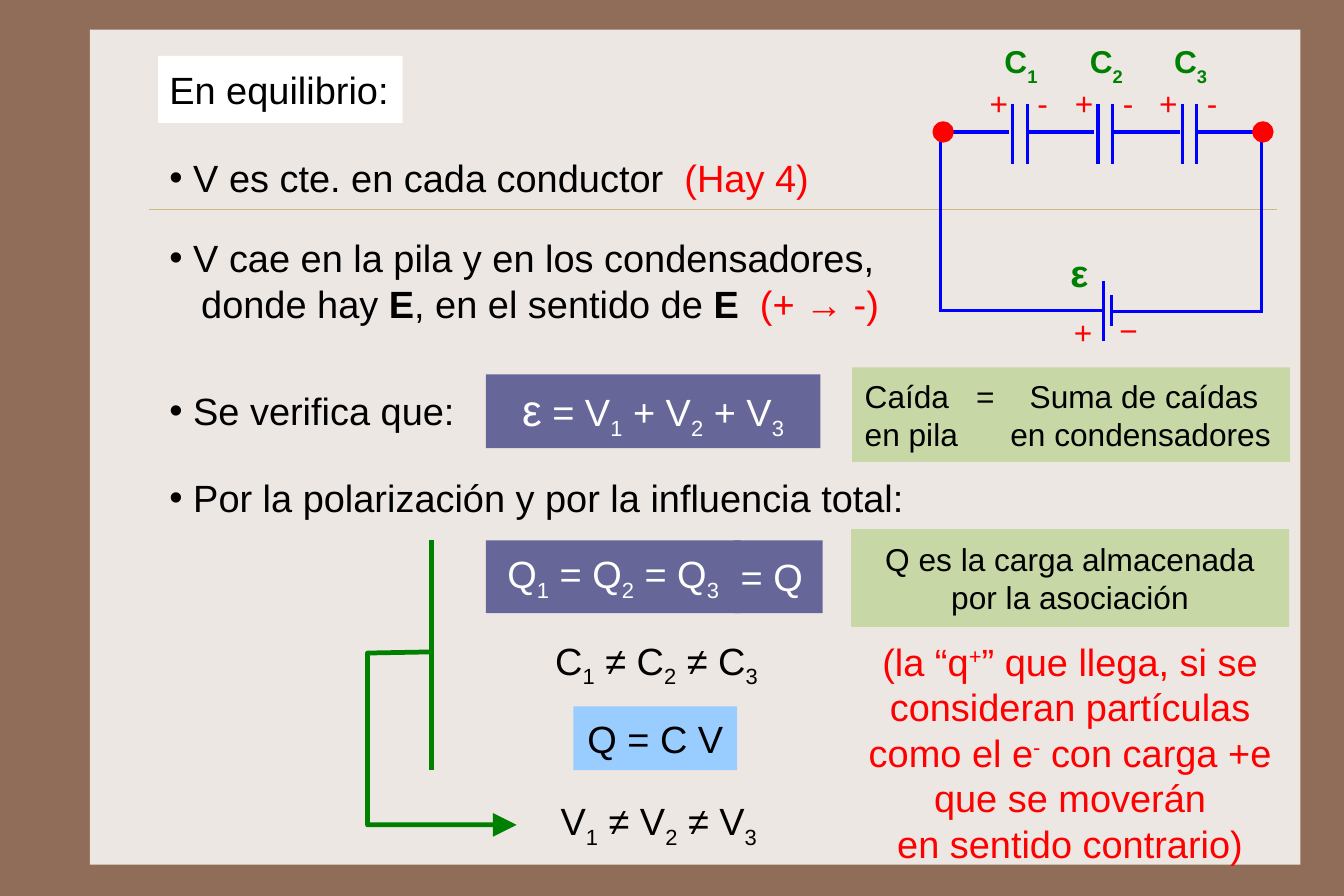
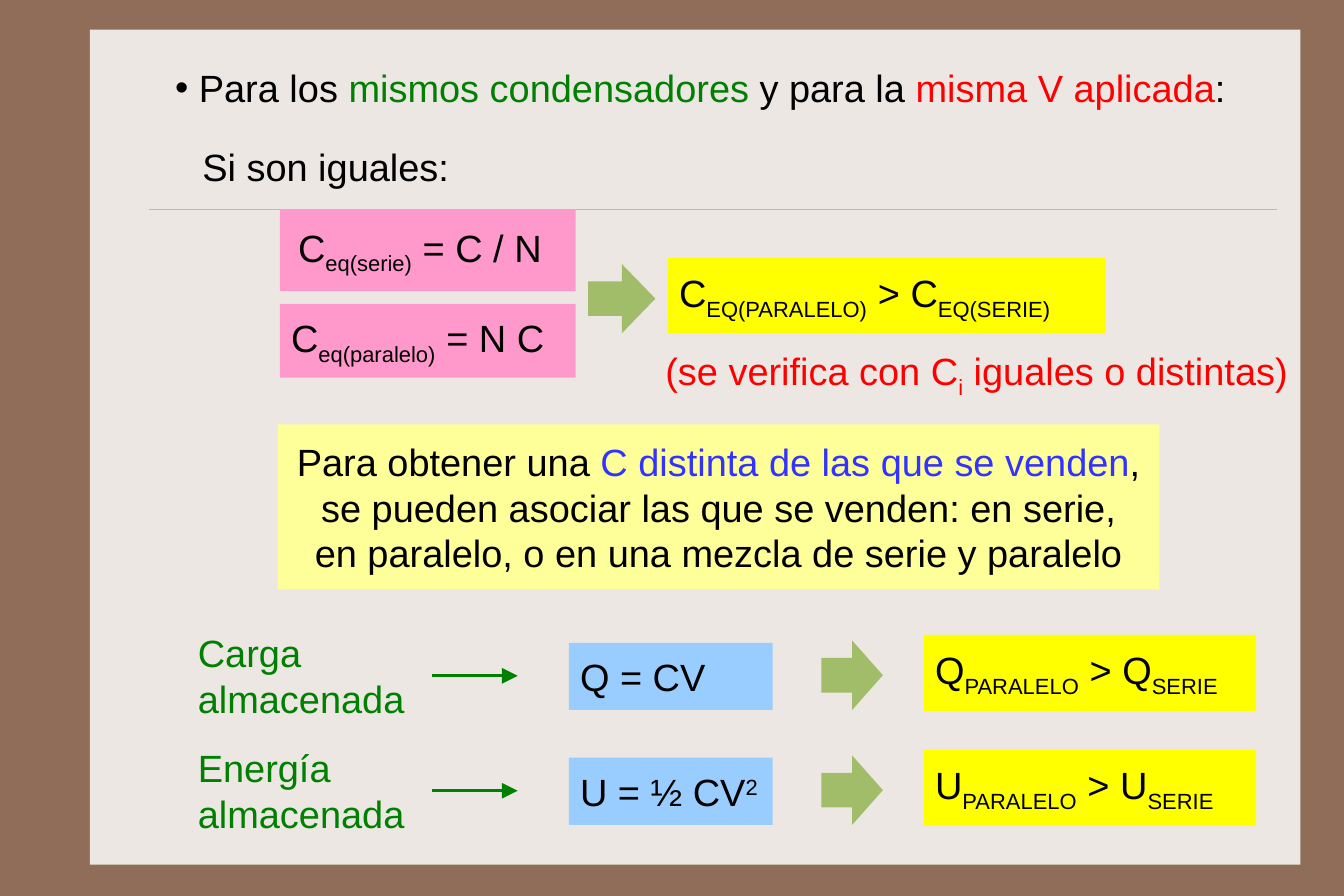
"""Builds two slides on capacitors in series and in parallel."""
from lxml.etree import SubElement
from pptx import Presentation
from pptx.dml.color import RGBColor
from pptx.enum.shapes import MSO_CONNECTOR, MSO_SHAPE
from pptx.enum.text import MSO_ANCHOR, PP_ALIGN
from pptx.oxml.ns import qn
from pptx.util import Inches, Pt

FONT = "Arial"
FRAME, PAPER, RULE = "906D58", "EDE7E3", "CBBD83"
BLACK, WHITE, RED, GREEN, BLUE = "000000", "FFFFFF", "FF0000", "008000", "0000FF"
SLATE, SKY, PINK, YELLOW = "666699", "99CCFF", "FF99CC", "FFFF00"
CREAM, MOSS, LEAF, VIOLET = "FFFF99", "C7D7A5", "A1BD69", "3333FF"
SUB, SUP = -25, 30
BULLET = 0.21
ARROW = {"type": "triangle", "w": "lg", "len": "lg"}

rgb = RGBColor.from_string


def box(s, x, y, w, h, paras=(), fill=None, color=BLACK, size=24, center=False, bold=None,
        left=0.1, bullet=False, tabs=(), shape=MSO_SHAPE.RECTANGLE):
    """Add a text box or filled shape; a part is text or (text, baseline, "b" or colour)."""
    at = [Inches(v) for v in (x, y, w, h)]
    if fill:
        sp = s.shapes.add_shape(shape, *at)
        sp.shadow.inherit = False
        sp.fill.solid()
        sp.fill.fore_color.rgb = rgb(fill)
        sp.line.fill.background()
    else:
        sp = s.shapes.add_textbox(*at)
    tf = sp.text_frame
    tf.word_wrap = True
    tf.vertical_anchor = MSO_ANCHOR.MIDDLE
    tf.margin_left = Inches(left)
    tf.margin_right = Inches(left if center else 0)
    tf.margin_top = tf.margin_bottom = 0
    for i, parts in enumerate(paras):
        p = tf.paragraphs[0] if i == 0 else tf.add_paragraph()
        p.alignment = PP_ALIGN.CENTER if center else PP_ALIGN.LEFT
        pPr = p._p.get_or_add_pPr()
        if bullet and i == 0:
            pPr.set("marL", str(Inches(BULLET)))
            pPr.set("indent", str(-Inches(BULLET)))
            SubElement(pPr, qn("a:buFont"), typeface=FONT)
            SubElement(pPr, qn("a:buChar"), char="•")
        elif bullet:
            pPr.set("marL", str(Inches(0.28)))
        if tabs:
            tab_list = SubElement(pPr, qn("a:tabLst"))
            for stop in tabs[i]:
                SubElement(tab_list, qn("a:tab"), pos=str(Inches(stop)), algn="l")
        for part in parts:
            text, style = (part, None) if isinstance(part, str) else part
            r = p.add_run()
            r.text = text
            r.font.name, r.font.size, r.font.bold = FONT, Pt(size), bold
            r.font.color.rgb = rgb(color)
            if isinstance(style, int):
                r.font._element.set("baseline", str(style * 1000))
            elif style == "b":
                r.font.bold = True
            elif style:
                r.font.color.rgb = rgb(style)
    return sp


def wire(s, x1, y1, x2, y2, color=BLUE, width=2, arrow=False):
    """Add a straight line, with an arrowhead at its end if asked."""
    c = s.shapes.add_connector(MSO_CONNECTOR.STRAIGHT, *[Inches(v) for v in (x1, y1, x2, y2)])
    c.line.color.rgb = rgb(color)
    c.line.width = Pt(width)
    spPr = c._element.spPr
    if arrow:
        SubElement(spPr.find(qn("a:ln")), qn("a:tailEnd"), ARROW)
    SubElement(spPr, qn("a:effectLst"))


prs = Presentation()
prs.slide_width, prs.slide_height = Inches(189 / 16), Inches(63 / 8)
bg = prs.slide_master.background.fill
bg.solid()
bg.fore_color.rgb = rgb(FRAME)
slides = []
for _ in range(2):
    s = prs.slides.add_slide(prs.slide_layouts[6])
    box(s, 0.79, 0.26, 10.64, 7.34, fill=PAPER)
    wire(s, 1.31, 1.84, 11.22, 1.84, RULE, 0.25)
    slides.append(s)
series, compare = slides

s = series
box(s, 1.39, 0.49, 2.15, 0.59, [["En equilibrio:"]], fill=WHITE)
box(s, 1.39, 1.26, 6.59, 0.59, [["V es cte. en cada conductor  ", ("(Hay 4)", RED)]], bullet=True)
box(s, 1.39, 1.97, 6.59, 0.99,
    [["V cae en la pila y en los condensadores,"],
     ["donde hay ", ("E", "b"), ", en el sentido de ", ("E  ", "b"), ("(+ → -)", RED)]],
    bullet=True)
box(s, 1.39, 3.31, 2.77, 0.59, [["Se verifica que:"]], bullet=True)
box(s, 1.39, 4.08, 6.88, 0.59, [["Por la polarización y por la influencia total:"]], bullet=True)

emf = box(s, 4.27, 3.29, 2.94, 0.65,
          [["ε", " = V", ("1", SUB), " + V", ("2", SUB), " + V", ("3", SUB)]],
          fill=SLATE, color=WHITE, center=True)
emf.text_frame.paragraphs[0].runs[0].font.size = Pt(28)
box(s, 4.27, 4.75, 2.24, 0.64, [["Q", ("1", SUB), " = Q", ("2", SUB), " = Q", ("3", SUB)]],
    fill=SLATE, color=WHITE, center=True)
box(s, 6.45, 4.75, 0.78, 0.64, [["= Q"]], fill=SLATE, color=WHITE, left=0.06)
for x, y, letter in [(4.76, 5.54, "C"), (4.78, 6.95, "V")]:
    box(s, x, y, 2.02, 0.58,
        [[letter, ("1", SUB), " ≠ " + letter, ("2", SUB), " ≠ " + letter, ("3", SUB)]],
        center=True, left=0.05)
box(s, 5.04, 6.21, 1.44, 0.56, [["Q = C V"]], fill=SKY, center=True)

box(s, 7.49, 3.23, 3.85, 0.83,
    [["Caída\t=\tSuma de caídas"], ["en pila\ten condensadores"]],
    fill=MOSS, size=20, left=0.11, tabs=[(0.98, 1.45), (1.28,)])
box(s, 7.48, 4.65, 3.85, 0.86, [["Q es la carga almacenada"], ["por la asociación"]],
    fill=MOSS, size=20, center=True)
box(s, 7.48, 5.51, 3.85, 2.2,
    [["(la “q", ("+", SUP), "” que llega, si se consideran partículas como el e", ("-", SUP),
      " con carga +e que se moverán"], ["en sentido contrario)"]], color=RED, center=True)

for i, x in enumerate([8.9, 9.65, 10.39]):
    for plate in (x, x + 0.13):
        wire(s, plate, 0.91, plate, 1.44)
    box(s, x - 0.17, 0.31, 0.55, 0.51, [["C", (str(i + 1), -30)]], color=GREEN, size=20, bold=True)
    box(s, x - 0.3, 0.65, 0.36, 0.51, [["+"]], color=RED, size=20)
    box(s, x + 0.12, 0.65, 0.29, 0.51, [["-"]], color=RED, size=20)
for x1, x2 in [(8.28, 8.87), (9.03, 9.62), (9.78, 10.37), (10.52, 11.11)]:
    wire(s, x1, 1.16, x2, 1.16)
for x1, y1, x2, y2 in [(8.27, 1.17, 8.27, 2.74), (11.09, 1.18, 11.09, 2.75),
                       (8.27, 2.73, 9.69, 2.73), (9.78, 2.74, 11.08, 2.74),
                       (9.7, 2.47, 9.7, 3), (9.77, 2.59, 9.77, 2.87)]:
    wire(s, x1, y1, x2, y2)
box(s, 9.31, 2.19, 0.37, 0.4, [["ε"]], color=GREEN, bold=True)
box(s, 9.34, 2.66, 0.39, 0.51, [["+"]], color=RED, size=20)
box(s, 9.74, 2.64, 0.38, 0.51, [["−"]], color=RED, size=20)
for x in (8.21, 11.02):
    dot = box(s, x, 1.08, 0.16, 0.16, fill=RED, shape=MSO_SHAPE.OVAL)
    dot.line.color.rgb = rgb(RED)
    dot.line.width = Pt(2)

wire(s, 3.79, 4.75, 3.79, 6.77, GREEN, 3)
fb = s.shapes.build_freeform(Inches(3.78), Inches(5.73))
fb.add_line_segments([(Inches(x), Inches(y)) for x, y in [(3.23, 5.74), (3.23, 7.25), (4.54, 7.25)]],
                     close=False)
elbow = fb.convert_to_shape()
elbow.shadow.inherit = False
elbow.fill.background()
elbow.line.color.rgb = rgb(GREEN)
elbow.line.width = Pt(3)
SubElement(elbow._element.spPr.find(qn("a:ln")), qn("a:tailEnd"), ARROW)

s = compare
box(s, 1.44, 0.47, 9.56, 0.59,
    [["Para los ", ("mismos condensadores ", GREEN), "y para la ", ("misma V aplicada", RED), ":"]],
    bullet=True)
box(s, 1.68, 1.17, 2.39, 0.59, [["Si son iguales:"]])
box(s, 2.46, 1.84, 2.6, 0.72, [["C", ("eq(serie)", SUB), " = C / N"]], fill=PINK, left=0.16)
box(s, 2.46, 2.67, 2.6, 0.65, [["C", ("eq(paralelo)", SUB), " = N C"]], fill=PINK)
box(s, 5.17, 2.32, 0.59, 0.61, fill=LEAF, shape=MSO_SHAPE.RIGHT_ARROW)
box(s, 5.87, 2.27, 3.85, 0.66, [["C", ("EQ(PARALELO)", SUB), " > C", ("EQ(SERIE)", SUB)]], fill=YELLOW)
box(s, 5.75, 2.99, 5.73, 0.59, [["(se verifica con C", ("i", SUB), " iguales o distintas)"]], color=RED)
box(s, 2.44, 3.73, 7.75, 1.45,
    [["Para obtener una ", ("C distinta de las que se venden", VIOLET),
      ", se pueden asociar las que se venden: en serie, en paralelo, o en una mezcla de serie y paralelo"]],
    fill=CREAM, center=True, left=0.16)

rows = [("Carga", "Q", ["Q = CV"]), ("Energía", "U", ["U = ½ CV", ("2", SUP)])]
for i, (name, letter, formula) in enumerate(rows):
    y = 5.48 + 1.01 * i
    box(s, 1.64, y, 2.75, 0.91, [[name + " almacenada"]], color=GREEN)
    wire(s, 3.8, y + 0.46, 4.55, y + 0.46, GREEN, arrow=True)
    box(s, 5, y + 0.17, 1.79, 0.59, [formula], fill=SKY)
    box(s, 7.22, y + 0.15, 0.54, 0.61, fill=LEAF, shape=MSO_SHAPE.RIGHT_ARROW)
    box(s, 8.12, y + 0.1, 2.92, 0.67,
        [[letter, ("PARALELO", SUB), " > " + letter, ("SERIE", SUB)]], fill=YELLOW)

prs.save("out.pptx")
